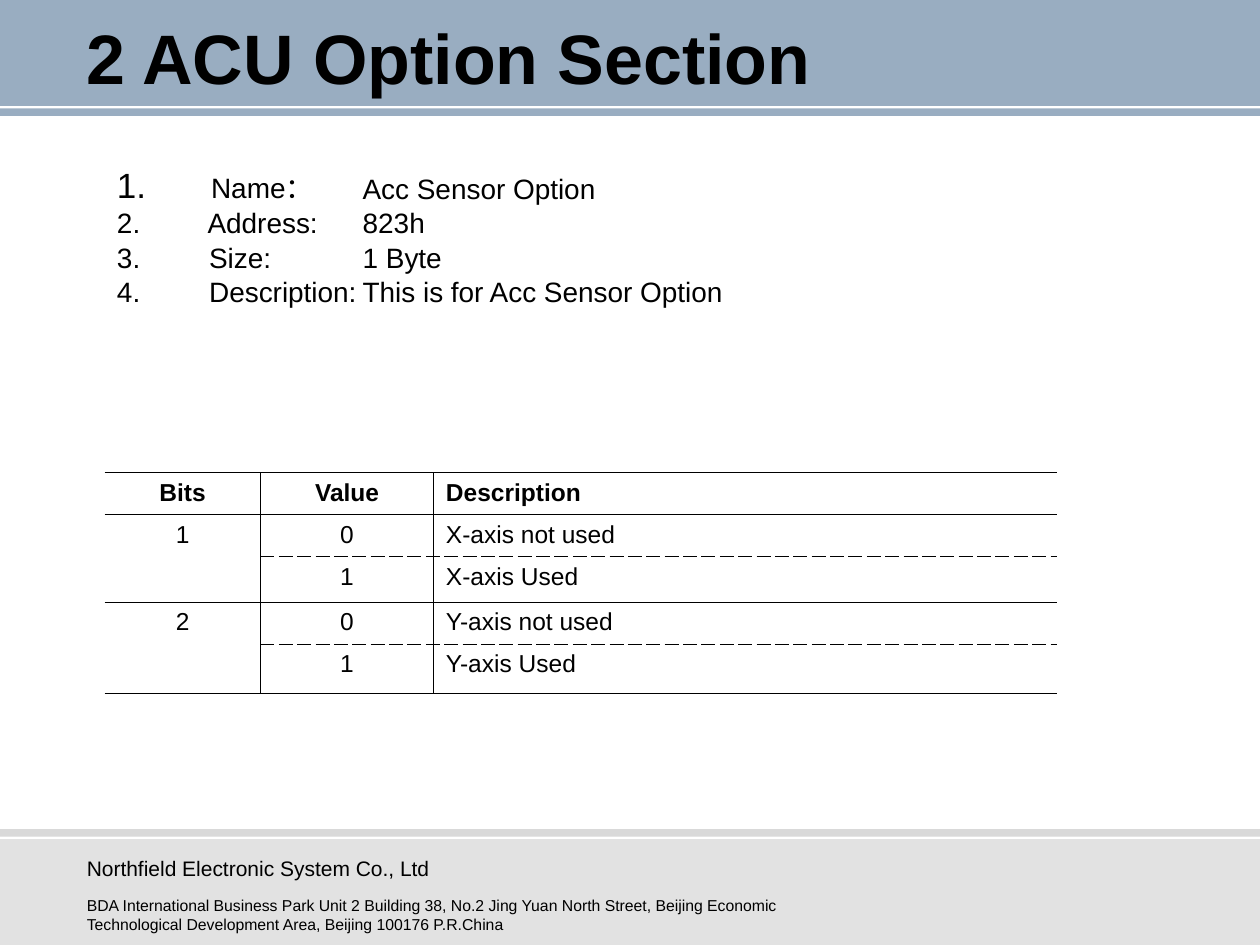
from dataclasses import dataclass
from lxml.etree import SubElement
from pptx import Presentation
from pptx.dml.color import RGBColor
from pptx.enum.shapes import MSO_SHAPE
from pptx.enum.text import MSO_ANCHOR, PP_ALIGN
from pptx.oxml import parse_xml
from pptx.oxml.ns import nsdecls, qn
from pptx.util import Inches, Pt


@dataclass(frozen=True)
class Theme:
    font: str = "Arial"
    ink: str = "000000"
    navy: str = "003366"
    gray: str = "C0C0C0"
    title: int = 40
    lead: int = 20
    body: int = 16
    cell: int = 14
    firm: int = 12
    small: int = 9
    line: float = 0.45


theme = Theme()
deck = Presentation()
deck.slide_width = Inches(10)
deck.slide_height = Inches(7.5)
col = deck.slide_width / 100
row = deck.slide_height / 75
slide = deck.slides.add_slide(deck.slide_layouts[6])


def grid(left, top, wide, high):
    return int(left * col), int(top * row), int(wide * col), int(high * row)


def write(para, text, size, bold=False):
    run = para.add_run()
    run.text = text
    run.font.name = theme.font
    run.font.size = Pt(size)
    run.font.bold = bold
    run.font.color.rgb = RGBColor.from_string(theme.ink)


bands = [
    (0, 8.4, theme.navy, 40),
    (8.6, 0.6, theme.navy, 40),
    (65.8, 0.6, theme.gray, 60),
    (66.6, 8.4, theme.gray, 46),
]
for top, high, color, share in bands:
    band = slide.shapes.add_shape(MSO_SHAPE.RECTANGLE, *grid(0, top, 100, high))
    band.shadow.inherit = False
    band.fill.solid()
    band.fill.fore_color.rgb = RGBColor.from_string(color)
    band.line.fill.background()
    tint = band.fill._xPr.find(qn("a:solidFill"))[0]
    SubElement(tint, qn("a:alpha"), val=str(share * 1000))

texts = [
    ((5.9, 1.3, 88.2, 6.3), "2 ACU Option Section", theme.title, True, MSO_ANCHOR.MIDDLE),
    ((5.9, 67.4, 63.8, 3.1), "Northfield Electronic System Co., Ltd", theme.firm, False, MSO_ANCHOR.TOP),
    ((5.9, 70.6, 63.8, 4.4),
     "BDA International Business Park Unit 2 Building 38, No.2 Jing Yuan North Street, "
     "Beijing Economic Technological Development Area, Beijing 100176 P.R.China",
     theme.small, False, MSO_ANCHOR.TOP),
]
for spot, text, size, bold, anchor in texts:
    frame = slide.shapes.add_textbox(*grid(*spot)).text_frame
    frame.word_wrap = True
    frame.vertical_anchor = anchor
    write(frame.paragraphs[0], text, size, bold)

facts = [
    ("Name：", "Acc Sensor Option"),
    ("Address:", "823h"),
    ("Size:", "1 Byte"),
    ("Description:", "This is for Acc Sensor Option"),
]
for side, (left, wide) in enumerate([(8.3, 20.5), (27.8, 64.9)]):
    frame = slide.shapes.add_textbox(*grid(left, 13.1, wide, 11.8)).text_frame
    frame.word_wrap = True
    frame.margin_right = 0
    for index, fact in enumerate(facts):
        para = frame.add_paragraph() if index else frame.paragraphs[0]
        para.line_spacing = Pt(19.5)
        if side == 0:
            props = para._p.get_or_add_pPr()
            props.set("marL", str(int(6.7 * col)))
            props.set("indent", str(int(-6.7 * col)))
            SubElement(props, qn("a:buFont"), typeface=theme.font)
            SubElement(props, qn("a:buAutoNum"), type="arabicPeriod")
            write(para, " ", theme.body if index else theme.lead)
        write(para, fact[side], theme.body)

rows = [("Bits", "Value", "Description")]
for bit, axis in enumerate("XY", 1):
    rows += [(str(bit), "0", f"{axis}-axis not used"), ("", "1", f"{axis}-axis Used")]
highs = [3.3, 3.3, 3.6, 3.3, 3.9]
wides = [12.4, 13.7, 49.5]
table = slide.shapes.add_table(5, 3, *grid(8.3, 37.5, sum(wides), sum(highs))).table
table.first_row = False
table.horz_banding = False
for index, wide in enumerate(wides):
    table.columns[index].width = int(wide * col)
for index, high in enumerate(highs):
    table.rows[index].height = int(high * row)
for y, words in enumerate(rows):
    upper, lower = y in (1, 3), y in (2, 4)
    for x, word in enumerate(words):
        cell = table.cell(y, x)
        cell.fill.background()
        para = cell.text_frame.paragraphs[0]
        para.alignment = PP_ALIGN.LEFT if x == 2 else PP_ALIGN.CENTER
        para.space_before = Pt(3.5)
        if word:
            write(para, word, theme.cell, y == 0)
        edges = {
            "L": "solid" if x else None,
            "R": "solid" if x < 2 else None,
            "T": ("dash" if x else None) if lower else "solid",
            "B": "dash" if upper and x else "solid",
        }
        for place, (edge, style) in enumerate(edges.items()):
            paint = "<a:noFill/>"
            if style:
                paint = (f'<a:solidFill><a:srgbClr val="{theme.ink}"/></a:solidFill>'
                         f'<a:prstDash val="{style}"/>')
            line = parse_xml(f'<a:ln{edge} {nsdecls("a")} w="{Pt(theme.line)}">{paint}</a:ln{edge}>')
            cell._tc.get_or_add_tcPr().insert(place, line)
for y in (1, 3):
    table.cell(y, 0).merge(table.cell(y + 1, 0))

deck.save("out.pptx")
